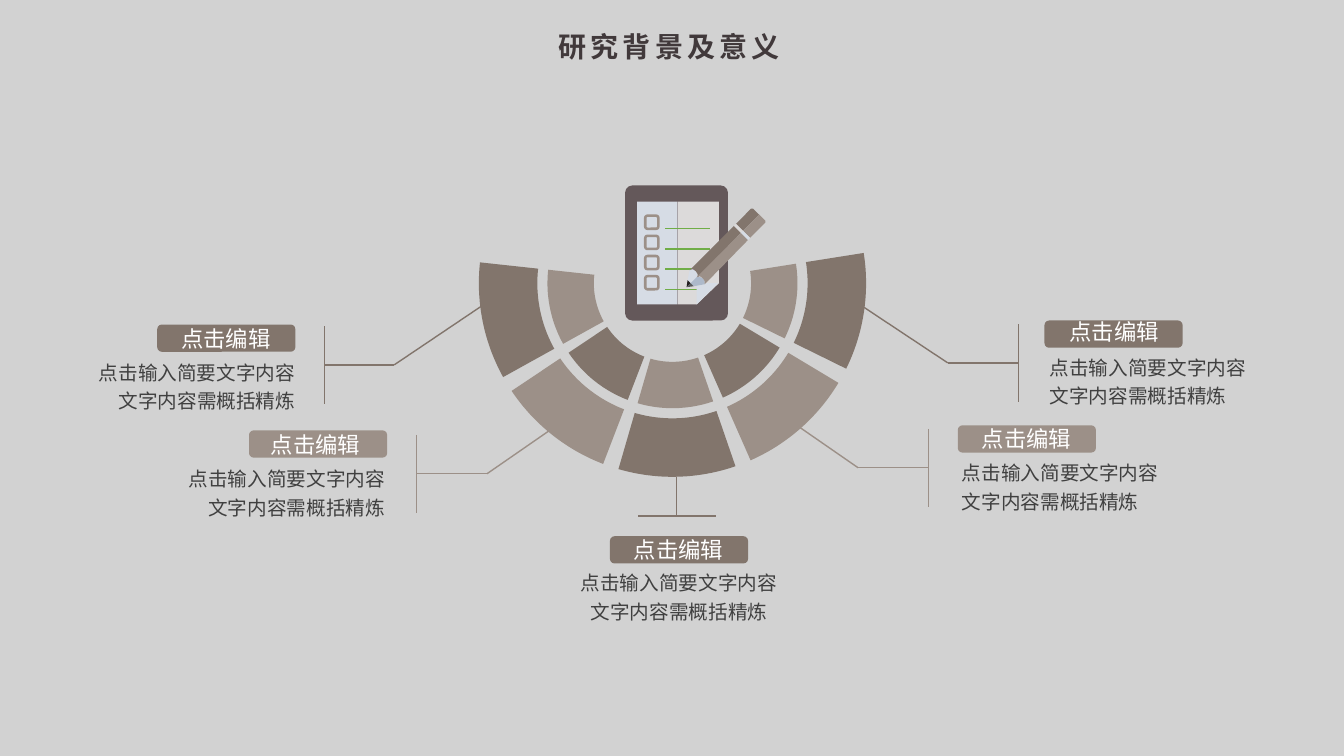
from math import cos, radians, sin

from pptx import Presentation
from pptx.dml.color import RGBColor
from pptx.enum.shapes import MSO_CONNECTOR, MSO_SHAPE
from pptx.enum.text import MSO_ANCHOR, PP_ALIGN
from pptx.oxml.ns import qn
from pptx.util import Inches, Pt

LINE = MSO_CONNECTOR.STRAIGHT
RECT, ROUND = MSO_SHAPE.RECTANGLE, MSO_SHAPE.ROUNDED_RECTANGLE
MIDDLE, TOP = MSO_ANCHOR.MIDDLE, MSO_ANCHOR.TOP
LEFT, CENTER, RIGHT = PP_ALIGN.LEFT, PP_ALIGN.CENTER, PP_ALIGN.RIGHT

DARK, LIGHT = "82756C", "9C9088"
ICE, PAPER = "D6DCE5", "DCDADA"
SANS, LATIN = "Noto Sans CJK SC", "Calibri"

# Fan: hub, (inner, outer) radius of each ring, angles in degrees
HUB = (6.67, 2.81)
RINGS = [(0.78, 1.24), (1.34, 1.92)]
START, STEP, SWEEP = -9, 40, 35.2

# Callouts: colour, alignment, then places of tag, label and body
CALLS = [
    (DARK, RIGHT, (1.56, 3.22), (1.6, 3.19), (0.96, 3.53)),
    (LIGHT, RIGHT, (2.47, 4.27), (2.49, 4.25), (1.85, 4.59)),
    (DARK, CENTER, (6.05, 5.32), (6.09, 5.29), (5.75, 5.62)),
    (LIGHT, LEFT, (9.5, 4.22), (9.54, 4.19), (9.54, 4.53)),
    (DARK, LEFT, (10.36, 3.18), (10.41, 3.12), (10.41, 3.48)),
]
# Side leaders: colour, bar x, elbow x, level y, tip on the fan
LEADERS = [
    (DARK, 3.22, 3.91, 3.62, (4.92, 2.94)),
    (LIGHT, 4.13, 4.83, 4.7, (5.48, 4.25)),
    (LIGHT, 9.21, 8.51, 4.64, (7.86, 4.19)),
    (DARK, 10.1, 9.4, 3.6, (8.39, 2.93)),
]
BAR = 0.77

# Pencil parts, back to front
PENCIL = [
    (ICE, [(6.82, 2.78), (6.84, 2.68), (6.87, 2.66), (6.9, 2.69),
           (6.92, 2.72), (6.92, 2.75), (6.85, 2.81)]),
    ("ADB9CA", [(6.85, 2.81), (6.92, 2.74), (6.97, 2.76),
                (6.99, 2.79), (6.99, 2.82), (6.88, 2.84)]),
    ("231F20", [(6.82, 2.78), (6.81, 2.85), (6.85, 2.81)]),
    ("58595B", [(6.85, 2.81), (6.81, 2.85), (6.88, 2.84)]),
    (DARK, [(7.28, 2.24), (6.84, 2.68), (6.87, 2.67), (6.9, 2.69),
            (6.92, 2.72), (6.92, 2.75), (7.35, 2.31)]),
    (LIGHT, [(7.35, 2.31), (6.91, 2.75), (6.94, 2.74), (6.97, 2.76),
             (6.99, 2.79), (6.99, 2.82), (7.42, 2.38)]),
    (DARK, [(7.53, 2.13), (7.47, 2.07), (7.45, 2.07), (7.3, 2.22), (7.37, 2.29)]),
    (LIGHT, [(7.44, 2.36), (7.59, 2.21), (7.59, 2.19), (7.53, 2.13), (7.37, 2.29)]),
    (PAPER, [(7.37, 2.29), (7.3, 2.22), (7.28, 2.24), (7.35, 2.31)]),
    (ICE, [(7.35, 2.31), (7.42, 2.38), (7.44, 2.36), (7.37, 2.29)]),
]


def rgb(code):
    return RGBColor.from_string(code)


def paint(shape, color):
    shape.shadow.inherit = False
    shape.fill.solid()
    shape.fill.fore_color.rgb = rgb(color)
    shape.line.fill.background()


def box(slide, kind, x, y, w, h, color):
    shape = slide.shapes.add_shape(kind, Inches(x), Inches(y), Inches(w), Inches(h))
    paint(shape, color)
    return shape


def poly(slide, points, color):
    spots = [(Inches(x), Inches(y)) for x, y in points]
    form = slide.shapes.build_freeform(*spots[0], scale=1.0)
    form.add_line_segments(spots[1:], close=True)
    paint(form.convert_to_shape(), color)


def line(slide, start, end, color, width=1):
    ends = [Inches(v) for v in (*start, *end)]
    rule = slide.shapes.add_connector(LINE, *ends)
    rule.line.color.rgb = rgb(color)
    rule.line.width = Pt(width)
    props = rule._element.spPr
    props.append(props.makeelement(qn("a:effectLst"), {}))


def text(slide, words, x, y, w, h, size, color, font, align=LEFT,
         anchor=TOP, wrap=True, pad=None, gap=None, bold=False, track=None):
    frame = slide.shapes.add_textbox(
        Inches(x), Inches(y), Inches(w), Inches(h)).text_frame
    frame.word_wrap = wrap
    frame.vertical_anchor = anchor
    if pad is not None:
        frame.margin_left = frame.margin_right = Inches(pad)
        frame.margin_top = frame.margin_bottom = Inches(pad)
    frame.text = words
    para = frame.paragraphs[0]
    para.alignment = align
    para.line_spacing = gap
    run = para.runs[0]
    run.font.size, run.font.bold, run.font.name = Pt(size), bold, font
    run.font.color.rgb = rgb(color)
    props = run.font._element
    # East Asian face follows the Latin one
    face = props.makeelement(qn("a:ea"), {"typeface": font})
    props.find(qn("a:latin")).addnext(face)
    if track:
        props.set("spc", str(track * 100))


def arc(radius, begin, end, steps=24):
    turns = [radians(begin + (end - begin) * i / steps) for i in range(steps + 1)]
    return [(HUB[0] + radius * cos(t), HUB[1] + radius * sin(t)) for t in turns]


def fan(slide):
    for i in range(5):
        begin = START + STEP * i
        end = begin + SWEEP
        for j, (inner, outer) in enumerate(RINGS):
            color = DARK if (i + j) % 2 else LIGHT
            poly(slide, arc(inner, begin, end) + arc(outer, end, begin), color)


def tablet(slide):
    case = box(slide, ROUND, 6.2, 1.84, 1.02, 1.34, "64585A")
    case.adjustments[0] = 0.07
    poly(slide, [(6.72, 2), (7.13, 2), (7.13, 2.81), (6.91, 3.02), (6.72, 3.02)], PAPER)
    box(slide, RECT, 6.32, 2, 0.4, 1.02, ICE)
    # Check list
    for i in range(4):
        top = 2.14 + 0.2 * i
        check = box(slide, ROUND, 6.4, top, 0.13, 0.13, LIGHT)
        check.fill.background()
        check.line.color.rgb = rgb(LIGHT)
        check.line.width = Pt(1.8)
        line(slide, (6.6, top + 0.13), (7.04, top + 0.13), "70AD47", 0.9)
    # Folded corner
    poly(slide, [(7.12, 2.81), (6.91, 2.81), (6.91, 3.02)], ICE)
    for color, points in PENCIL:
        poly(slide, points, color)


def leader(slide, color, bar, elbow, level, tip):
    line(slide, (elbow, level), tip, color)
    line(slide, (bar, level - BAR / 2), (bar, level + BAR / 2), color)
    line(slide, (bar, level), (elbow, level), color)


def callout(slide, color, align, tag, label, body):
    box(slide, ROUND, *tag, 1.37, 0.27, color)
    text(slide, "点击输入简要文字内容文字内容需概括精炼", *body, 1.97, 0.48,
         14, "404040", SANS, align, pad=0, gap=1.2)
    text(slide, "点击编辑", *label, 1.28, 0.33, 16, "FFFFFF", LATIN, CENTER, MIDDLE)


def main():
    deck = Presentation()
    deck.slide_width, deck.slide_height = Inches(13.33), Inches(7.5)
    slide = deck.slides.add_slide(deck.slide_layouts[6])
    slide.background.fill.solid()
    slide.background.fill.fore_color.rgb = rgb("D2D2D2")

    fan(slide)
    tablet(slide)
    for row in LEADERS:
        leader(slide, *row)
    # Bottom leader
    line(slide, (6.33, 5.12), (6.33 + BAR, 5.12), DARK)
    line(slide, (6.71, 5.12), (6.71, 4.73), DARK)
    for row in CALLS:
        callout(slide, *row)
    # Title
    text(slide, "研究背景及意义", 5.44, 0.24, 2.46, 0.44, 20, "41393B", SANS,
         wrap=False, bold=True, track=3)
    deck.save("out.pptx")


if __name__ == "__main__":
    main()
